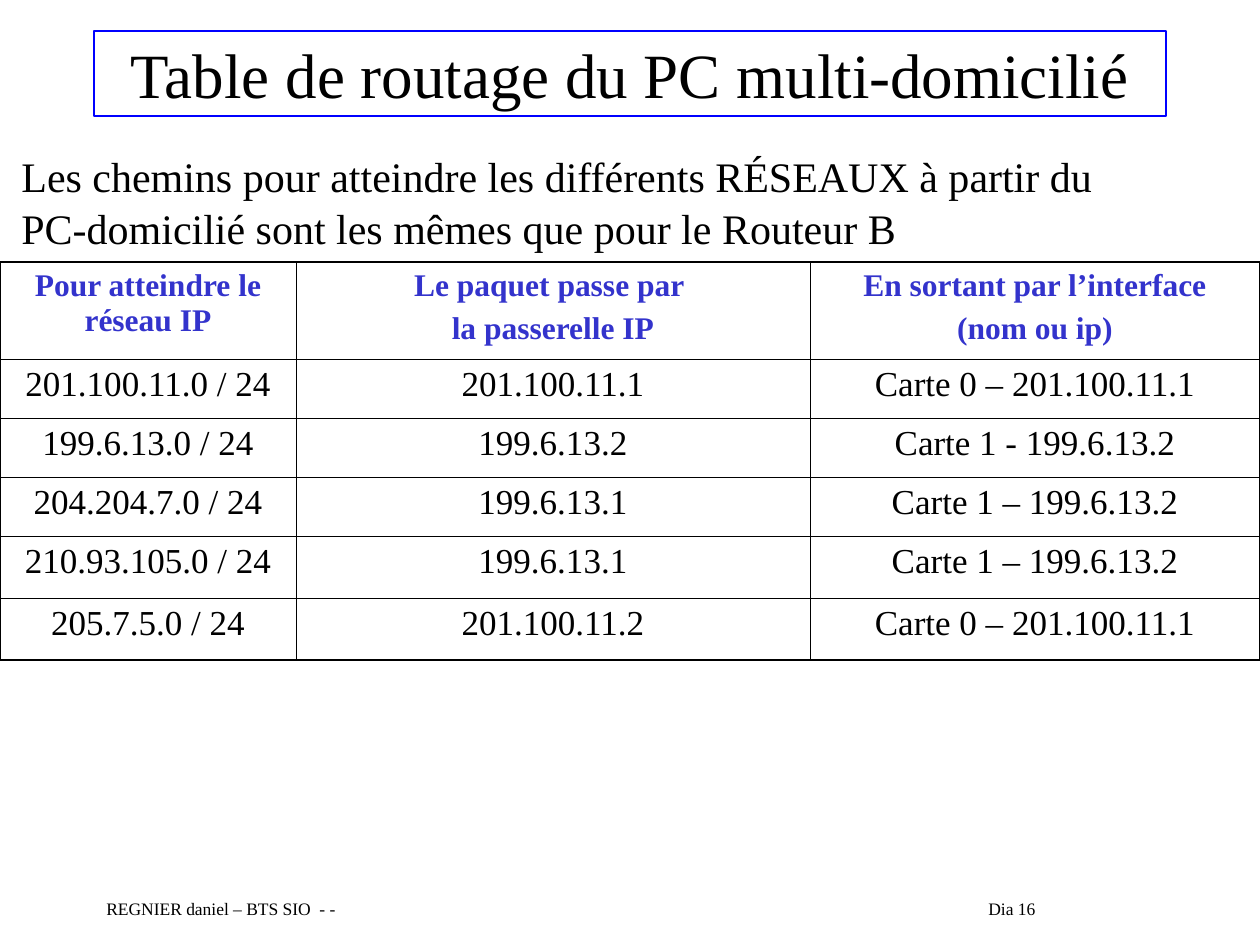
from pptx import Presentation
from pptx.dml.color import RGBColor
from pptx.enum.shapes import MSO_SHAPE
from pptx.enum.text import MSO_ANCHOR, PP_ALIGN
from pptx.oxml.ns import qn
from pptx.util import Pt
from lxml import etree

PX = 914400 // 126
FONT = "Times New Roman"
BLACK = RGBColor(0, 0, 0)
BLUE = RGBColor(0, 0, 255)
INDIGO = RGBColor(0x33, 0x33, 0xCC)
RECT = MSO_SHAPE.RECTANGLE
MIDDLE = MSO_ANCHOR.MIDDLE
LEFT, CENTER = PP_ALIGN.LEFT, PP_ALIGN.CENTER
THIN, THICK = Pt(0.45), Pt(1.08)

COLS = [296, 514, 450]
ROWS = [97, 59, 59, 59, 62, 62]
HEAD = [
    ["Pour atteindre le réseau IP"],
    ["Le paquet passe par ", "la passerelle IP"],
    ["En sortant par l’interface", "(nom ou ip)"],
]
ROUTES = [
    ("201.100.11.0 / 24", "201.100.11.1", "Carte 0 – 201.100.11.1"),
    ("199.6.13.0 / 24", "199.6.13.2", "Carte 1 - 199.6.13.2"),
    ("204.204.7.0 / 24", "199.6.13.1", "Carte 1 – 199.6.13.2"),
    ("210.93.105.0 / 24", "199.6.13.1", "Carte 1 – 199.6.13.2"),
    ("205.7.5.0 / 24", "201.100.11.2", "Carte 0 – 201.100.11.1"),
]


def emu(box):
    return [v * PX for v in box]


def write(frame, lines, size, color=BLACK, bold=False, align=LEFT, gap=0):
    frame.word_wrap = True
    for i, line in enumerate(lines):
        para = frame.paragraphs[0] if i == 0 else frame.add_paragraph()
        para.alignment = align
        if i and gap:
            para.space_before = Pt(gap)
        run = para.add_run()
        run.text = line
        font = run.font
        font.name, font.size, font.bold = FONT, Pt(size), bold
        font.color.rgb = color


def add_title(slide, box):
    shape = slide.shapes.add_shape(RECT, *emu(box))
    shape.shadow.inherit = False
    shape.fill.background()
    shape.line.color.rgb = BLUE
    shape.line.width = Pt(1.5)
    shape.text_frame.vertical_anchor = MIDDLE
    write(shape.text_frame, ["Table de routage du PC multi-domicilié"],
          36, align=CENTER)


def add_intro(slide, box):
    frame = slide.shapes.add_textbox(*emu(box)).text_frame
    write(frame, ["Les chemins pour atteindre les différents RÉSEAUX à partir du",
                  "PC-domicilié sont les mêmes que pour le Routeur B"], 24, gap=1)


def add_edge(props, side, width):
    line = etree.SubElement(props, qn(f"a:{side}"), w=str(width))
    fill = etree.SubElement(line, qn("a:solidFill"))
    etree.SubElement(fill, qn("a:srgbClr"), val=str(BLACK))


def add_routes(slide, box):
    grid = [HEAD] + [[[text] for text in row] for row in ROUTES]
    table = slide.shapes.add_table(len(ROWS), len(COLS), *emu(box)).table
    table.first_row = table.horz_banding = False
    for col, width in zip(table.columns, COLS):
        col.width = width * PX
    for row, height in zip(table.rows, ROWS):
        row.height = height * PX

    for r, row in enumerate(grid):
        for c, lines in enumerate(row):
            cell = table.cell(r, c)
            # Thick lines around the table, thin ones inside
            outer = {"lnL": c == 0, "lnR": c == len(COLS) - 1,
                     "lnT": r == 0, "lnB": r == len(ROWS) - 1}
            props = cell._tc.get_or_add_tcPr()
            for side, edge in outer.items():
                add_edge(props, side, THICK if edge else THIN)
            cell.fill.background()
            if r == 0:
                write(cell.text_frame, lines, 18, INDIGO, True, CENTER, 4.5)
            else:
                write(cell.text_frame, lines, 20, align=CENTER)


def add_footer(slide, box):
    frame = slide.shapes.add_textbox(*emu(box)).text_frame
    # One tab stop sets the page number
    props = frame.paragraphs[0]._p.get_or_add_pPr()
    tabs = etree.SubElement(props, qn("a:tabLst"))
    etree.SubElement(tabs, qn("a:tab"), pos=str(882 * PX), algn="l")
    write(frame, ["REGNIER daniel – BTS SIO  - -\tDia 16"], 10)


def main():
    deck = Presentation()
    deck.slide_width, deck.slide_height = emu((1260, 945))
    slide = deck.slides.add_slide(deck.slide_layouts[6])
    add_footer(slide, (94, 892, 1071, 32))
    add_title(slide, (94, 31, 1072, 85))
    add_routes(slide, (0, 262, sum(COLS), sum(ROWS)))
    add_intro(slide, (9, 144, 1220, 113))
    deck.save("out.pptx")


if __name__ == "__main__":
    main()
